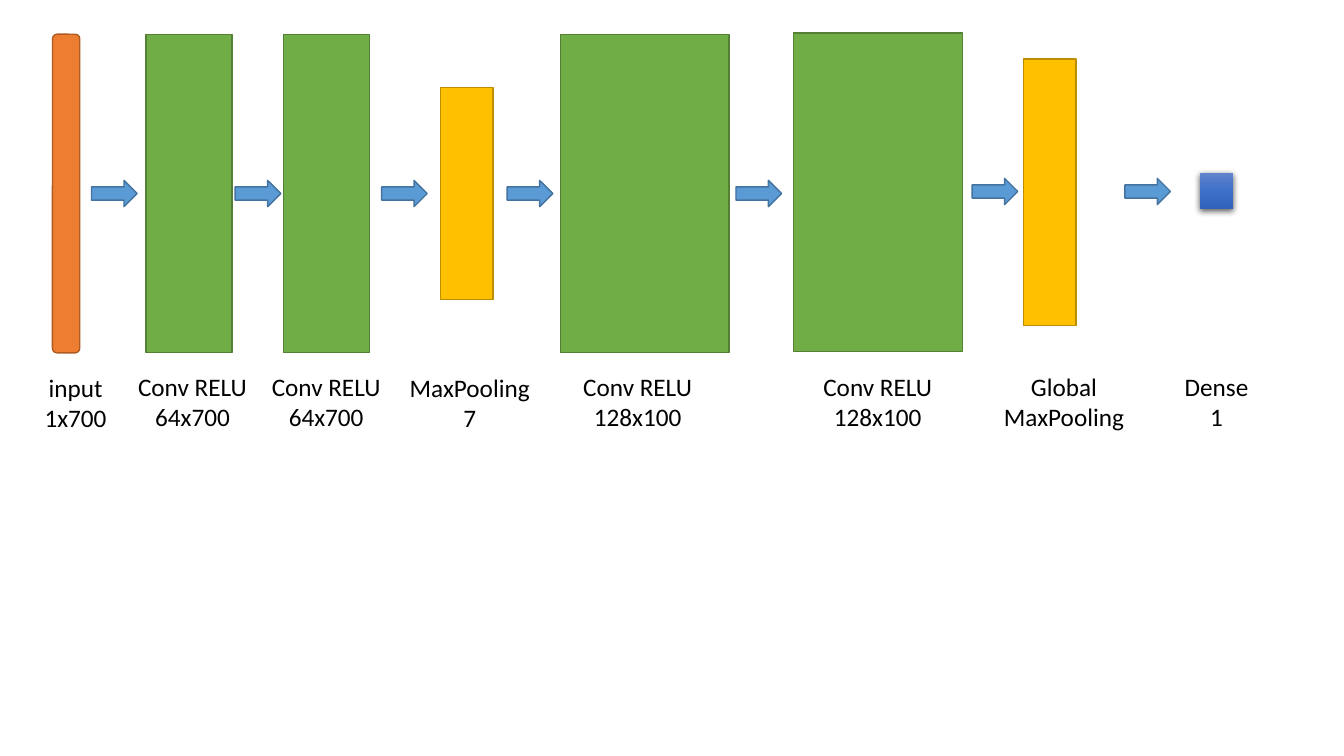
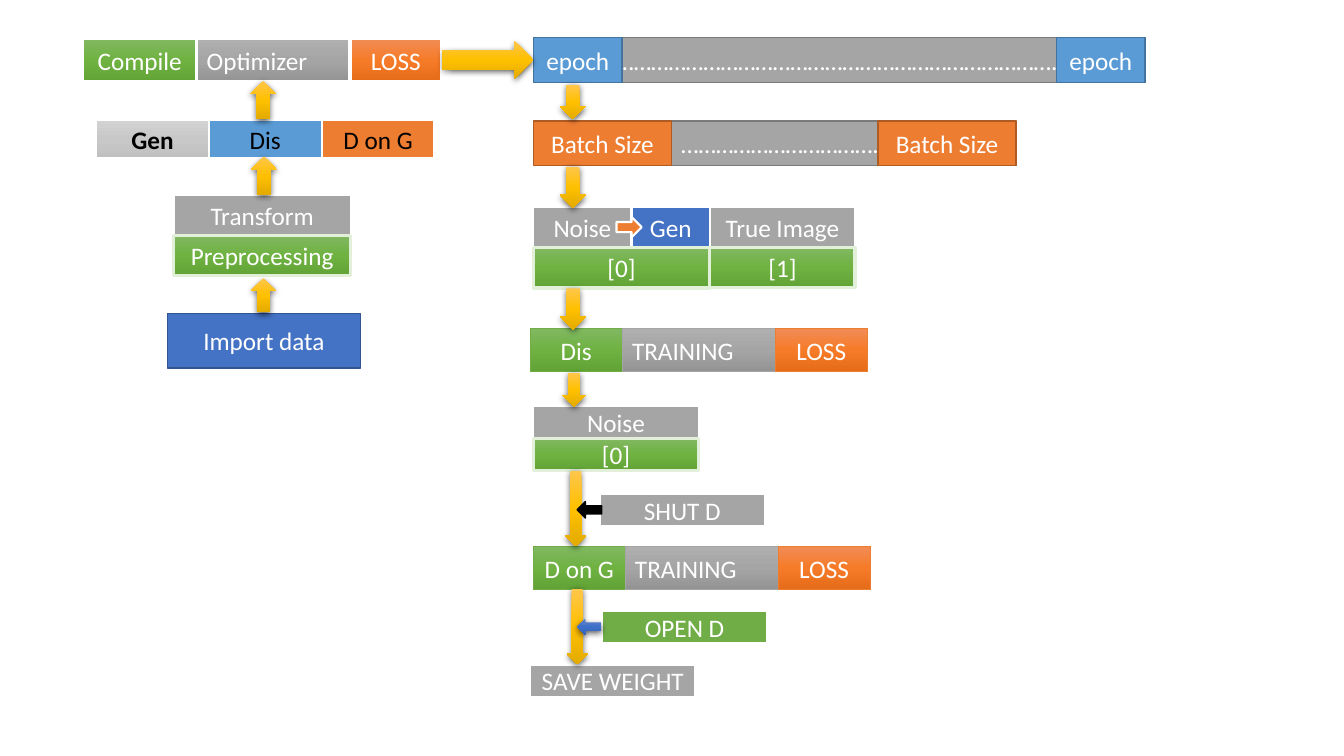
"""Build two diagrams: a convolutional network and an adversarial training loop."""
from copy import deepcopy
from dataclasses import dataclass

from lxml.etree import SubElement
from pptx import Presentation
from pptx.dml.color import RGBColor
from pptx.enum.shapes import MSO_SHAPE as Preset
from pptx.enum.text import MSO_ANCHOR as Anchor, PP_ALIGN as Align
from pptx.oxml.ns import qn
from pptx.util import Pt

FONT, FONT_SIZE = "Calibri", 18

COLORS: dict[str, str] = {
    "white": "FFFFFF", "black": "000000",
    "orange": "ED7D31", "orange_edge": "AF5C24",
    "orange_top": "F18C57", "orange_mid": "F67B28", "orange_end": "E56C19",
    "sky": "5B9BD5", "sky_edge": "43739E",
    "green": "70AD47", "green_edge": "538035", "green_pale": "E2F0D9",
    "green_top": "81B861", "green_mid": "6FB242", "green_end": "62A336",
    "gold": "FFC000", "gold_edge": "BD8E00",
    "gold_top": "FFC64B", "gold_end": "E3AB00",
    "gray": "A5A5A5", "gray_edge": "7A7A7A",
    "gray_top": "AFAFAF", "gray_end": "939393",
    "silver_top": "D2D2D2", "silver_mid": "C8C8C8", "silver_end": "C0C0C0",
    "blue": "4472C4", "blue_edge": "325491",
    "blue_top": "6183CB", "blue_mid": "3E70CA", "blue_end": "3062BB",
}


@dataclass(frozen=True)
class Style:
    """Fill colours (one, or three for a gradient), outline, text and shadow."""
    fill: tuple[str, ...]
    line: str = ""
    line_width: float = 1
    text: str = "white"
    bold: bool = False
    shadow: bool = False


GREEN_FADE = ("green_top", "green_mid", "green_end")
GRAY_FADE = ("gray_top", "gray", "gray_end")
ORANGE_FADE = ("orange_top", "orange_mid", "orange_end")
BLUE_FADE = ("blue_top", "blue_mid", "blue_end")

STYLES: dict[str, Style] = {
    "input": Style(("orange",), "orange_edge"),
    "sky": Style(("sky",), "sky_edge"),
    "convolution": Style(("green",), "green_edge"),
    "pooling": Style(("gold",), "gold_edge"),
    "blue_glow": Style(BLUE_FADE, shadow=True),
    "gold_glow": Style(("gold_top", "gold", "gold_end"), shadow=True),
    "black": Style(("black",), "black"),
    "import": Style(("blue",), "blue_edge"),
    "dots": Style(("gray",), "gray_edge"),
    "gray": Style(("gray",), "white", 1.5),
    "green": Style(("green",), "white", 1.5),
    "blue": Style(("blue",), "white", 1.5),
    "orange": Style(("orange",), "white", 1.5),
    "label": Style(GREEN_FADE, "green_pale", 2.25),
    "generator": Style(("silver_top", "silver_mid", "silver_end"), "white", 1.5, "black", True),
    "discriminator": Style(("sky",), "white", 1.5, "black"),
    "combined": Style(("orange",), "white", 1.5, "black"),
    "model": Style(GREEN_FADE, "green", 0.5),
    "training": Style(GRAY_FADE, "gray", 0.5),
    "loss": Style(ORANGE_FADE, "orange", 0.5),
    "compile": Style(GREEN_FADE, "white", 2.25),
    "optimizer": Style(GRAY_FADE, "white", 2.25),
    "compile_loss": Style(ORANGE_FADE, "white", 2.25),
}


@dataclass(frozen=True)
class Box:
    """A preset shape with an optional one-line text."""
    left: float
    top: float
    width: float
    height: float
    style: str
    text: str = ""
    align: Align = Align.CENTER
    preset: Preset = Preset.RECTANGLE


@dataclass(frozen=True)
class Stage:
    """A network layer: its block, its two-line caption and the arrow that leads to it."""
    caption: str
    caption_center: float
    left: float
    width: float
    height: float
    style: str
    arrow_left: float | None = None
    axis: float = 138.24
    arrow_axis: float = 138.24
    caption_top: float = 261.4
    preset: Preset = Preset.RECTANGLE


def color(name: str) -> RGBColor:
    """Return a named colour."""
    return RGBColor.from_string(COLORS[name])


def apply_style(shape, style: Style) -> None:
    """Set fill, outline and shadow of a shape."""
    shape.shadow.inherit = False
    if len(style.fill) == 1:
        shape.fill.solid()
        shape.fill.fore_color.rgb = color(style.fill[0])
    else:
        shape.fill.gradient()
        shape.fill.gradient_angle = 270
        stop_list = shape.element.spPr.find(".//" + qn("a:gsLst"))
        stop_list.append(deepcopy(stop_list[-1]))
        for index, (stop, name) in enumerate(zip(shape.fill.gradient_stops, style.fill)):
            stop.color.rgb = color(name)
            stop.position = index / 2
    if style.line:
        shape.line.color.rgb = color(style.line)
        shape.line.width = Pt(style.line_width)
    else:
        shape.line.fill.background()
    if style.shadow:
        effects = shape.element.spPr.find(qn("a:effectLst"))
        shadow = SubElement(effects, qn("a:outerShdw"), blurRad=str(Pt(4.5)),
                            dist=str(Pt(1.5)), dir="5400000", algn="ctr", rotWithShape="0")
        tint = SubElement(shadow, qn("a:srgbClr"), val=COLORS["black"])
        SubElement(tint, qn("a:alpha"), val="63000")


def write_text(shape, text: str, align: Align, color_name: str, bold: bool = False) -> None:
    """Fill a shape with text, one paragraph per line."""
    frame = shape.text_frame
    frame.word_wrap = True
    frame.text = text
    for paragraph in frame.paragraphs:
        paragraph.alignment = align
        for run in paragraph.runs:
            run.font.name = FONT
            run.font.size = Pt(FONT_SIZE)
            run.font.bold = bold
            run.font.color.rgb = color(color_name)


def draw_box(slide, box: Box) -> None:
    """Draw one box."""
    shape = slide.shapes.add_shape(box.preset, Pt(box.left), Pt(box.top),
                                   Pt(box.width), Pt(box.height))
    style = STYLES[box.style]
    apply_style(shape, style)
    if box.text:
        shape.text_frame.vertical_anchor = Anchor.MIDDLE
        write_text(shape, box.text, box.align, style.text, style.bold)


def draw_stage(slide, stage: Stage) -> None:
    """Draw a layer centred on its axis, with its arrow and caption."""
    draw_box(slide, Box(stage.left, stage.axis - stage.height / 2, stage.width, stage.height,
                        stage.style, preset=stage.preset))
    if stage.arrow_left is not None:
        draw_box(slide, Box(stage.arrow_left, stage.arrow_axis - 9.4, 32.6, 18.8, "sky",
                            preset=Preset.RIGHT_ARROW))
    width = 125
    caption = slide.shapes.add_textbox(Pt(stage.caption_center - width / 2),
                                       Pt(stage.caption_top), Pt(width), Pt(51))
    write_text(caption, stage.caption, Align.CENTER, "black")


def loss_strip(left: float, top: float, first: str, first_width: float, middle: str,
               styles: tuple[str, str, str]) -> list[Box]:
    """Return a model cell, a wide step cell and a loss cell over its right end."""
    height, middle_width, loss_width = 31, 175, 65.6
    middle_left = left + first_width
    return [
        Box(left, top, first_width, height, styles[0], first),
        Box(middle_left, top, middle_width, height, styles[1], middle, Align.LEFT),
        Box(middle_left + middle_width - loss_width, top, loss_width, height, styles[2], "LOSS"),
    ]


def repeat_strip(top: float, width: float, dots_left: float, edge_width: float,
                 text: str, dots: str, style: str) -> list[Box]:
    """Return a dotted bar with the same cell at both ends."""
    height, right = 31.8, LOOP_LEFT + width
    return [Box(dots_left, top, right - dots_left, height, "dots", dots, Align.LEFT)] + [
        Box(left, top, edge_width, height, style, text)
        for left in (LOOP_LEFT, right - edge_width)]


def stack(left: float, top: float, width: float, height: float, step: float,
          header: str, label: str) -> list[Box]:
    """Return a gray header above a green label."""
    return [Box(left, top, width, height, "gray", header),
            Box(left, top + step, width, height, "label", label)]


def gold_arrow(left: float, top: float, width: float, height: float,
               preset: Preset = Preset.DOWN_ARROW) -> Box:
    """Return a glowing arrow."""
    return Box(left, top, width, height, "gold_glow", preset=preset)


LOOP_LEFT = 381
LAYER_HEIGHT = 227.6
STAGES = [
    Stage("input\n1x700", 54, 37.5, 19.5, LAYER_HEIGHT, "input",
          caption_top=262.1, preset=Preset.ROUNDED_RECTANGLE),
    Stage("Conv RELU\n64x700", 137.5, 104.4, 61.4, LAYER_HEIGHT, "convolution", 65.4),
    Stage("Conv RELU\n64x700", 233, 202.4, 61.4, LAYER_HEIGHT, "convolution", 168),
    Stage("MaxPooling\n7", 335.5, 314.5, 37.8, 151.4, "pooling", 272.6, caption_top=262.1),
    Stage("Conv RELU\n128x100", 455.5, 400.2, 120.6, LAYER_HEIGHT, "convolution", 362.3),
    Stage("Conv RELU\n128x100", 627, 566.8, 120.6, LAYER_HEIGHT, "convolution", 525.7,
          axis=137.4),
    Stage("Global\nMaxPooling", 760, 731, 37.6, 190.6, "pooling", 694.4,
          axis=137.4, arrow_axis=136.8),
    Stage("Dense\n1", 869, 857, 23.8, 25.8, "blue_glow", 803.5, axis=136.4, arrow_axis=136.8),
]

TRAINING_STYLES = ("model", "training", "loss")
MODELS = [("Gen", "generator"), ("Dis", "discriminator"), ("D on G", "combined")]
MODEL_WIDTH = 80.6
TRAINING_FLOW = [
    Box(119.6, 224, 137.8, 39, "import", "Import data"),
    *[Box(68.6 + index * MODEL_WIDTH, 85.8, MODEL_WIDTH, 27, style, text)
      for index, (text, style) in enumerate(MODELS)],
    *repeat_strip(86.4, 344.8, 479.5, 98.6, "Batch Size", "…" * 11 + "..", "input"),
    *repeat_strip(27, 437, 433.2, 63.4, "epoch", "…" * 25 + ".", "sky"),
    Box(LOOP_LEFT, 147.6, 70, 29.2, "gray", "Noise"),
    Box(451.2, 147.6, 56, 29.2, "blue", "Gen"),
    Box(440.4, 155, 18, 14.4, "orange", preset=Preset.RIGHT_ARROW),
    Box(LOOP_LEFT, 176.6, 126, 29.2, "label", "[0]"),
    *stack(507, 148, 103.8, 29, 28.5, "True Image", "[1]"),
    *loss_strip(378.9, 234.6, "Dis", 65.5, "TRAINING", TRAINING_STYLES),
    *stack(LOOP_LEFT, 290.3, 118, 23, 23, "Noise", "[0]"),
    *loss_strip(381, 390.2, "D on G", 65.5, "TRAINING", TRAINING_STYLES),
    Box(428.3, 353, 118, 23, "gray", "SHUT D"),
    Box(430, 436.5, 118, 23, "green", "OPEN D"),
    Box(378.7, 474.8, 118, 23, "gray", "SAVE WEIGHT"),
    *stack(124, 139.4, 126.6, 29, 28.6, "Transform", "Preprocessing"),
    *loss_strip(59, 27.6, "Compile", 81.6, "Optimizer",
                ("compile", "optimizer", "compile_loss")),
    gold_arrow(179.3, 198.8, 17.8, 24.4, Preset.UP_ARROW),
    gold_arrow(179.3, 111.8, 18.6, 27.2, Preset.UP_ARROW),
    gold_arrow(178.7, 57.8, 18.6, 27, Preset.UP_ARROW),
    gold_arrow(316, 29, 65, 27.4, Preset.STRIPED_RIGHT_ARROW),
    gold_arrow(399.8, 119, 18.6, 29.4),
    gold_arrow(399.8, 60.6, 18.6, 24.6),
    gold_arrow(400.2, 206, 18.6, 29.4),
    gold_arrow(401.6, 266.4, 16.8, 24.2),
    gold_arrow(403.6, 336.2, 15.4, 54),
    gold_arrow(404.7, 420.6, 15.4, 54),
    Box(412.2, 358.3, 17.6, 11.8, "black", preset=Preset.LEFT_ARROW),
    Box(412.2, 442, 17.2, 11.6, "blue_glow", preset=Preset.LEFT_ARROW),
]


def build() -> None:
    """Draw both slides and save the presentation."""
    presentation = Presentation()
    presentation.slide_width, presentation.slide_height = Pt(960), Pt(540)
    blank = presentation.slide_layouts[6]
    network = presentation.slides.add_slide(blank)
    for stage in STAGES:
        draw_stage(network, stage)
    training = presentation.slides.add_slide(blank)
    for box in TRAINING_FLOW:
        draw_box(training, box)
    presentation.save("out.pptx")


build()
